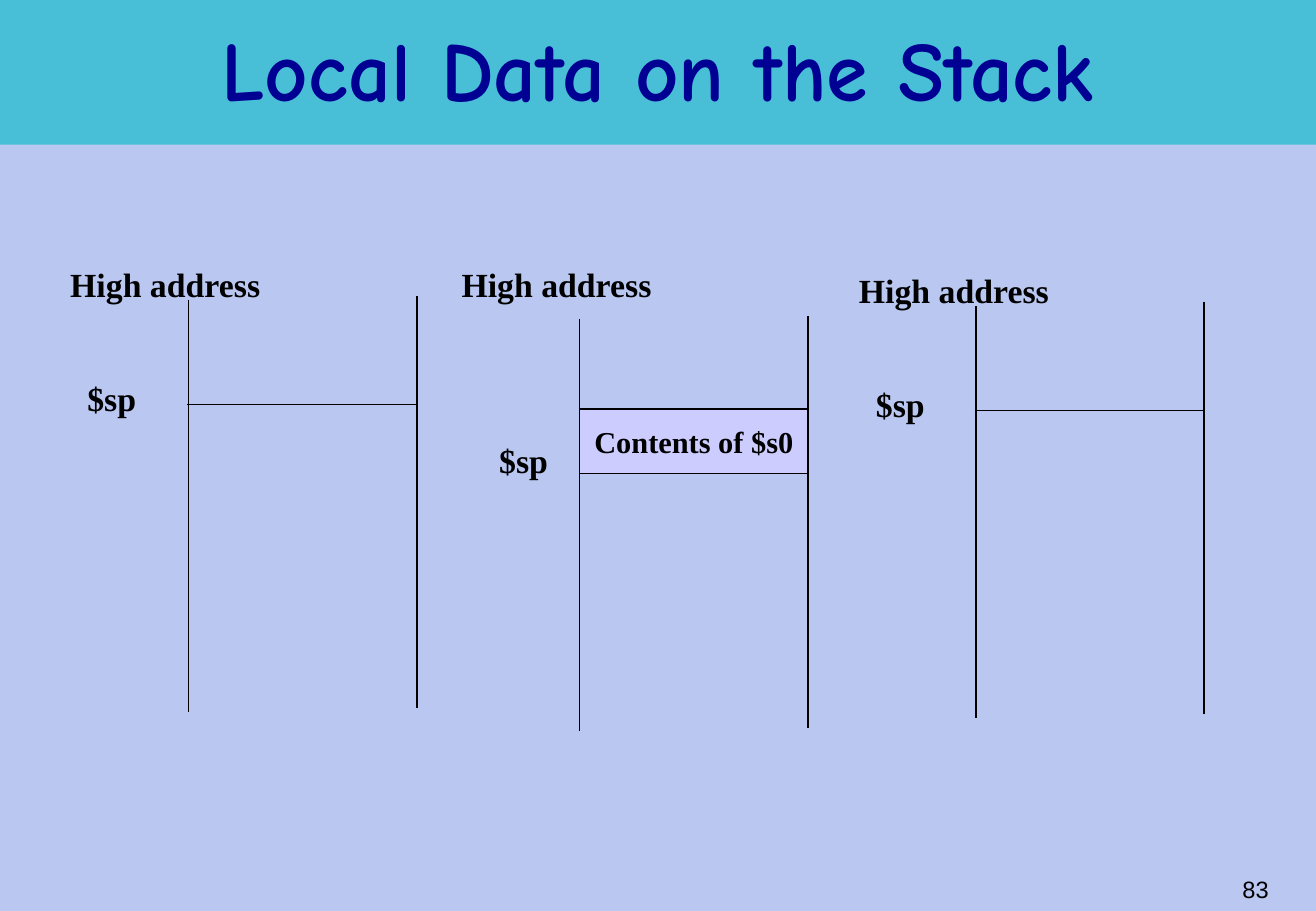
from dataclasses import dataclass

from pptx import Presentation
from pptx.dml.color import RGBColor
from pptx.enum.shapes import MSO_CONNECTOR, MSO_SHAPE
from pptx.enum.text import MSO_ANCHOR, PP_ALIGN
from pptx.oxml.ns import qn
from pptx.util import Inches, Pt
from lxml.etree import SubElement

TITLE = "Local Data on the Stack"
PAGE_NUMBER = "83"
TOP_LABEL = "High address"
POINTER = "$sp"

# One stack each: left wall (x, y), top label (x, y), pointer label (x, y),
# and either the y of the stack-top line or the text of a saved cell.
STACKS = [
    dict(wall=(1.55, 2.47), label=(0.48, 2.12), pointer=(0.62, 3.06), top=3.33),
    dict(wall=(4.77, 2.63), label=(3.70, 2.12), pointer=(4.01, 3.57), cell="Contents of $s0"),
    dict(wall=(8.03, 2.52), label=(6.97, 2.17), pointer=(7.11, 3.11), top=3.38),
]
SLIDE_W, SLIDE_H = 10.83, 7.5
BAND_H = 1.19
STACK_W, WALL_H, WALL_RISE = 1.88, 3.39, 0.03
CELL_Y, CELL_H = 3.37, 0.53
LABEL_H = 0.43


@dataclass(frozen=True)
class Theme:
    background: RGBColor = RGBColor(0xBA, 0xC8, 0xF1)
    band: RGBColor = RGBColor(0x49, 0xBF, 0xD7)
    title: RGBColor = RGBColor(0x00, 0x00, 0x92)
    cell: RGBColor = RGBColor(0xCC, 0xCC, 0xFF)
    ink: RGBColor = RGBColor(0, 0, 0)
    title_font: str = "Comic Neue"
    label_font: str = "Times New Roman"
    number_font: str = "Arial"
    title_size: int = 50
    label_size: int = 20
    cell_size: int = 18
    number_size: int = 14
    line_width: int = 1


THEME = Theme()


def write(sp, text, size=THEME.label_size, font=THEME.label_font, color=THEME.ink,
          bold=True, align=PP_ALIGN.LEFT, anchor=MSO_ANCHOR.TOP, wrap=False):
    tf = sp.text_frame
    tf.word_wrap = wrap
    tf.vertical_anchor = anchor
    p = tf.paragraphs[0]
    p.alignment = align
    r = p.add_run()
    r.text = text
    r.font.name = font
    r.font.size = Pt(size)
    r.font.bold = bold
    r.font.color.rgb = color
    return p


def add_label(shapes, text, x, y, w, h=LABEL_H, **style):
    write(shapes.add_textbox(Inches(x), Inches(y), Inches(w), Inches(h)), text, **style)


def add_box(shapes, x, y, w, h, fill):
    sp = shapes.add_shape(MSO_SHAPE.RECTANGLE, Inches(x), Inches(y), Inches(w), Inches(h))
    sp.shadow.inherit = False
    sp.fill.solid()
    sp.fill.fore_color.rgb = fill
    sp.line.fill.background()
    return sp


def set_line(line):
    line.color.rgb = THEME.ink
    line.width = Pt(THEME.line_width)


def add_line(shapes, x1, y1, x2, y2):
    cx = shapes.add_connector(MSO_CONNECTOR.STRAIGHT,
                              Inches(x1), Inches(y1), Inches(x2), Inches(y2))
    set_line(cx.line)
    SubElement(cx.element.spPr, qn("a:effectLst"))


def add_stack(slide, wall, label, pointer, top=None, cell=None):
    shapes = slide.shapes.add_group_shape().shapes
    x, y = wall
    if cell:
        sp = add_box(shapes, x, CELL_Y, STACK_W, CELL_H, THEME.cell)
        set_line(sp.line)
        write(sp, cell, size=THEME.cell_size, align=PP_ALIGN.CENTER, anchor=MSO_ANCHOR.MIDDLE)
    for wall_x, wall_y in ((x, y), (x + STACK_W, y - WALL_RISE)):
        add_line(shapes, wall_x, wall_y, wall_x, wall_y + WALL_H)
    if top:
        add_line(shapes, x - 0.01, top, x + STACK_W + 0.01, top)
    add_label(shapes, TOP_LABEL, *label, 1.77)
    add_label(shapes, POINTER, *pointer, 0.6)


def main():
    prs = Presentation()
    prs.slide_width, prs.slide_height = Inches(SLIDE_W), Inches(SLIDE_H)
    slide = prs.slides.add_slide(prs.slide_layouts[5])
    slide.background.fill.solid()
    slide.background.fill.fore_color.rgb = THEME.background

    title = slide.shapes.title
    title.left, title.top = Inches(0.81), Inches(0.13)
    title.width, title.height = Inches(9.21), Inches(0.99)
    p = write(title, TITLE, size=THEME.title_size, font=THEME.title_font, color=THEME.title,
              align=PP_ALIGN.CENTER, anchor=MSO_ANCHOR.MIDDLE, wrap=True)
    p.line_spacing = 0.85
    band = add_box(slide.shapes, 0, 0, SLIDE_W, BAND_H, THEME.band)
    title.element.addprevious(band.element)  # the band lies behind the title

    for stack in STACKS:
        add_stack(slide, **stack)

    add_label(slide.shapes, PAGE_NUMBER, 8.28, 7.14, 2.26, 0.36, size=THEME.number_size,
              font=THEME.number_font, bold=False, align=PP_ALIGN.RIGHT,
              anchor=MSO_ANCHOR.MIDDLE, wrap=True)
    prs.save("out.pptx")


if __name__ == "__main__":
    main()
